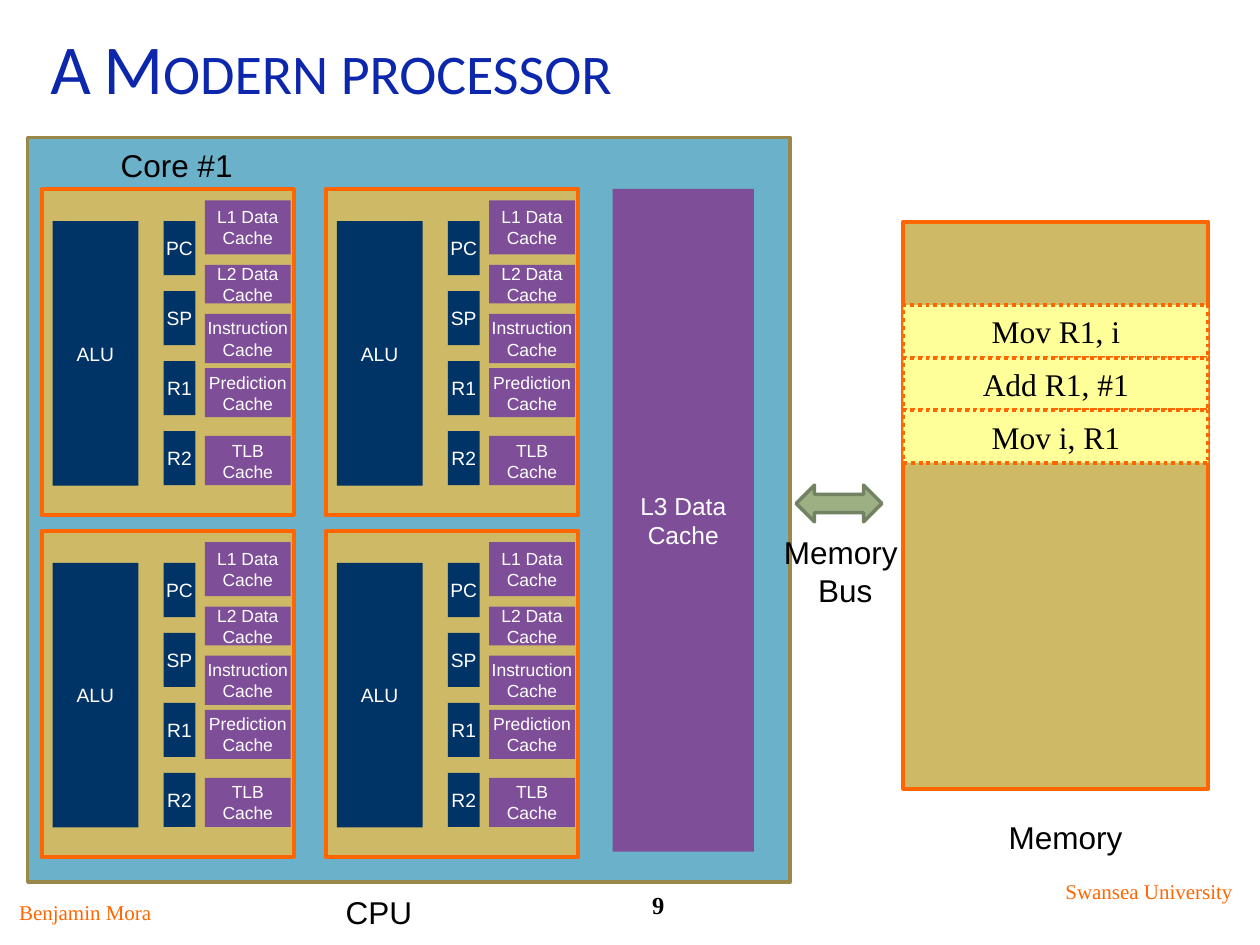
from pptx import Presentation
from pptx.dml.color import RGBColor
from pptx.enum.dml import MSO_LINE
from pptx.enum.shapes import MSO_SHAPE
from pptx.enum.text import MSO_ANCHOR, MSO_AUTO_SIZE, PP_ALIGN
from pptx.util import Cm, Pt

ORANGE, SAND, NAVY, PURPLE = "FF6600", "CEB966", "003366", "7E4E99"
WHITE, BLACK = "FFFFFF", "000000"
hex_colour = RGBColor.from_string


def write(frame, text, size, colour, font="Arial", align=PP_ALIGN.CENTER):
    frame.text = text
    for paragraph in frame.paragraphs:
        paragraph.alignment = align
        for run in paragraph.runs:
            run.font.name = font
            run.font.size = Pt(size)
            run.font.color.rgb = hex_colour(colour)


def block(left, top, width, height, fill, line=None, weight=2.25, kind=MSO_SHAPE.RECTANGLE):
    shape = slide.shapes.add_shape(kind, Cm(left), Cm(top), Cm(width), Cm(height))
    shape.shadow.inherit = False
    shape.fill.solid()
    shape.fill.fore_color.rgb = hex_colour(fill)
    if line:
        shape.line.color.rgb = hex_colour(line)
        shape.line.width = Pt(weight)
    else:
        shape.line.fill.background()
    shape.text_frame.word_wrap = False
    shape.text_frame.vertical_anchor = MSO_ANCHOR.MIDDLE
    return shape


deck = Presentation()
deck.slide_width, deck.slide_height = Cm(25.4), Cm(19.05)
slide = deck.slides.add_slide(deck.slide_layouts[5])

heading = slide.shapes.title
heading.left, heading.top, heading.width, heading.height = Cm(0.76), Cm(-0.03), Cm(24.13), Cm(2.34)
heading.text_frame.auto_size = MSO_AUTO_SIZE.NONE
heading.text_frame.vertical_anchor = MSO_ANCHOR.BOTTOM
write(heading.text_frame, "A Modern processor", 40, "0C27AC", "Calibri", PP_ALIGN.LEFT)
heading.text_frame.paragraphs[0].runs[0].font._element.set("cap", "small")

block(0.56, 2.77, 15.37, 15.01, "6BB1C9", "98894B", 2)

memory_left, memory_width = 18.21, 6.15
block(memory_left, 4.47, memory_width, 11.43, SAND, ORANGE)
for row, instruction in enumerate(["Mov R1, i", "Add R1, #1", "Mov i, R1"]):
    cell = block(memory_left, 6.15 + row * 1.06, memory_width, 1.06, "FFFF99", ORANGE)
    cell.line.dash_style = MSO_LINE.ROUND_DOT
    write(cell.text_frame, instruction, 18, BLACK, "Times New Roman")

caches = [
    ("L1 Data", 0.23, 1.09),
    ("L2 Data", 1.53, 0.78),
    ("Instruction", 2.52, 0.99),
    ("Prediction", 3.61, 0.99),
    ("TLB", 4.98, 0.99),
]
for core_left in (0.84, 6.57):
    for core_top in (3.81, 10.7):
        block(core_left, core_top, 5.08, 6.58, SAND, ORANGE)
        alu = block(core_left + 0.22, core_top + 0.65, 1.73, 5.33, NAVY)
        write(alu.text_frame, "ALU", 11, WHITE)
        for row, name in enumerate(["PC", "SP", "R1", "R2"]):
            register = block(core_left + 2.46, core_top + 0.65 + row * 1.41, 0.64, 1.09, NAVY)
            write(register.text_frame, name, 11, WHITE)
        for name, offset, height in caches:
            cache = block(core_left + 3.29, core_top + offset, 1.73, height, PURPLE)
            write(cache.text_frame, name + "\nCache", 10, WHITE)

l3_cache = block(12.35, 3.81, 2.85, 13.36, PURPLE)
write(l3_cache.text_frame, "L3 Data\nCache", 14, WHITE)

block(16.05, 9.78, 1.73, 0.74, "9CB084", "738262", 2, MSO_SHAPE.LEFT_RIGHT_ARROW)

labels = [
    ("Memory", 18.62, 16.36, 5.72, 1.02, 18, BLACK, "Arial"),
    ("CPU", 4.11, 17.88, 7.06, 1.02, 18, BLACK, "Arial"),
    ("Core #1", 0.03, 2.82, 7.06, 1.02, 18, BLACK, "Arial"),
    ("Memory \nBus", 13.51, 10.62, 7.06, 1.8, 18, BLACK, "Arial"),
    ("Benjamin Mora", 0.03, 18.01, 3.38, 0.76, 12, ORANGE, "Times New Roman"),
    ("Swansea University", 21.16, 17.58, 4.01, 0.76, 12, ORANGE, "Times New Roman"),
    ("9", 11.58, 17.81, 3.38, 0.84, 14, BLACK, "Times New Roman"),
]
for text, left, top, width, height, size, colour, font in labels:
    label = slide.shapes.add_textbox(Cm(left), Cm(top), Cm(width), Cm(height))
    label.text_frame.word_wrap = True
    write(label.text_frame, text, size, colour, font)
    label.text_frame.paragraphs[0].runs[0].font.bold = text == "9"

deck.save("out.pptx")
